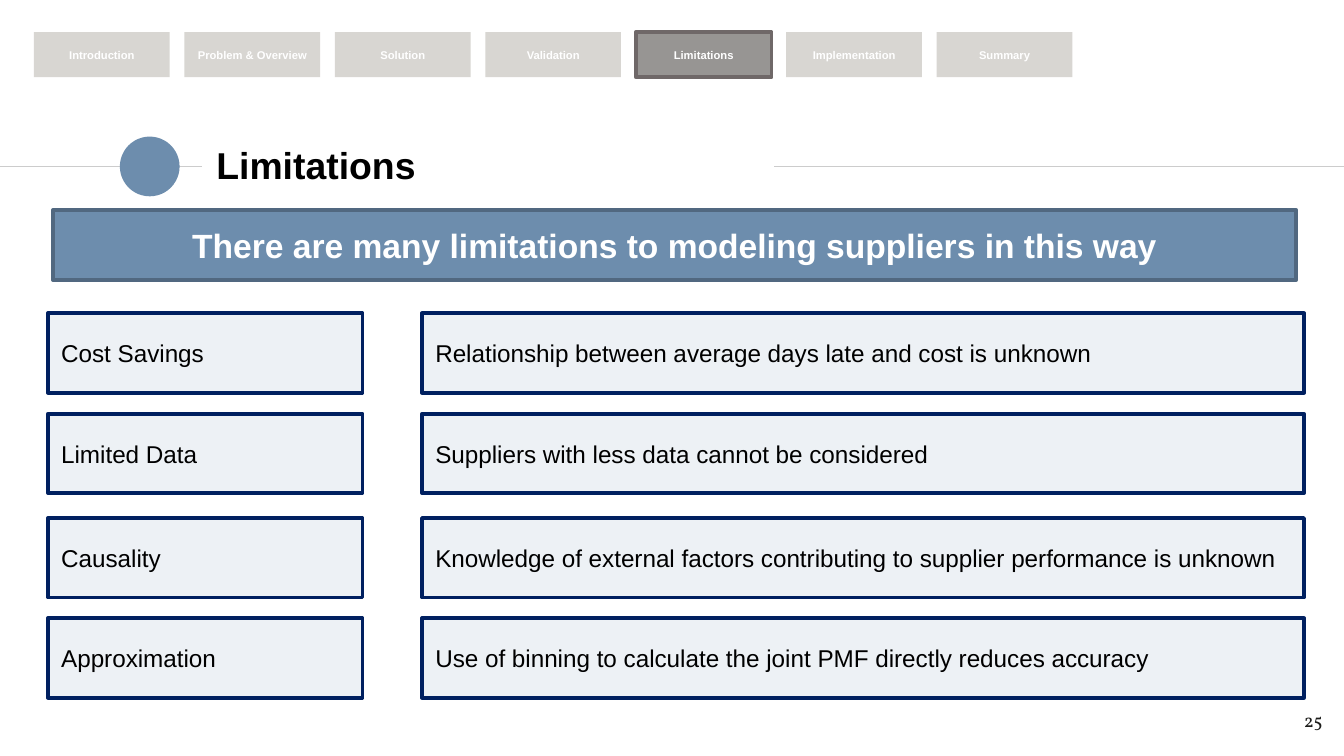
from lxml import etree
from pptx import Presentation
from pptx.dml.color import RGBColor
from pptx.enum.shapes import MSO_CONNECTOR, MSO_SHAPE
from pptx.enum.text import MSO_ANCHOR, PP_ALIGN
from pptx.oxml.ns import qn
from pptx.util import Pt

BLACK = RGBColor(0x00, 0x00, 0x00)
WHITE = RGBColor(0xFF, 0xFF, 0xFF)
INK = RGBColor(0x1D, 0x1D, 0x1B)
RULE = RGBColor(0xCC, 0xCC, 0xCC)
BLUE = RGBColor(0x6D, 0x8D, 0xAD)
BLUE_EDGE = RGBColor(0x51, 0x68, 0x80)
PALE = RGBColor(0xA7, 0xBB, 0xCE)
NAVY = RGBColor(0x00, 0x20, 0x60)
TAB = RGBColor(0xD8, 0xD6, 0xD2)
TAB_ON = RGBColor(0x97, 0x95, 0x93)
TAB_EDGE = RGBColor(0x6F, 0x68, 0x68)


def add_block(kind, x, y, w, h, fill, line=None):
    sp = s.shapes.add_shape(kind, Pt(x), Pt(y), Pt(w), Pt(h))
    sp.shadow.inherit = False
    sp.fill.solid()
    sp.fill.fore_color.rgb = fill
    if line is None:
        sp.line.fill.background()
    else:
        sp.line.color.rgb = line
        sp.line.width = Pt(2)
    return sp


def write(sp, text, size, color, align, bold=False, font="Arial"):
    tf = sp.text_frame
    tf.word_wrap = True
    tf.vertical_anchor = MSO_ANCHOR.MIDDLE
    p = tf.paragraphs[0]
    p.text = text
    p.alignment = align
    p.font.name = font
    p.font.size = Pt(size)
    p.font.bold = bold
    p.font.color.rgb = color
    return tf


prs = Presentation()
prs.slide_width, prs.slide_height = Pt(720), Pt(405)
s = prs.slides.add_slide(prs.slide_layouts[5])

# Rules either side of the title, and the dot
for x1, x2 in [(0, 108), (414.7, 720)]:
    ln = s.shapes.add_connector(MSO_CONNECTOR.STRAIGHT, Pt(x1), Pt(89.2), Pt(x2), Pt(89.2))
    ln.line.color.rgb = RULE
    ln.line.width = Pt(0.75)
    etree.SubElement(ln._element.spPr, qn("a:effectLst"))
add_block(MSO_SHAPE.OVAL, 64.2, 73.2, 32, 32, BLUE)

# Title
title = s.shapes.title
title.left, title.top, title.width, title.height = Pt(108.7), Pt(70.8), Pt(305.3), Pt(34.8)
tf = write(title, "Limitations", 20, BLACK, PP_ALIGN.LEFT, bold=True)
tf.margin_left = tf.margin_right = tf.margin_top = tf.margin_bottom = Pt(7.2)

# Slide number
number = s.shapes.add_textbox(Pt(672.5), Pt(373.7), Pt(43.2), Pt(31))
tf = write(number, "25", 10, INK, PP_ALIGN.RIGHT, font="Vollkorn")
tf.vertical_anchor = MSO_ANCHOR.TOP
tf.margin_top = tf.margin_bottom = Pt(7.2)

# Headline banner
banner = add_block(MSO_SHAPE.RECTANGLE, 28.5, 112.5, 666, 37.5, BLUE, BLUE_EDGE)
write(banner, "There are many limitations to modeling suppliers in this way",
      18, WHITE, PP_ALIGN.CENTER, bold=True)

# Limitations and their explanations
rows = [
    (167.8, "Cost Savings", "Relationship between average days late and cost is unknown"),
    (221.6, "Limited Data", "Suppliers with less data cannot be considered"),
    (277.5, "Causality",
     "Knowledge of external factors contributing to supplier performance is unknown"),
    (331.2, "Approximation",
     "Use of binning to calculate the joint PMF directly reduces accuracy"),
]
for y, name, detail in rows:
    for x, w, text in [(226.1, 472.5, detail), (25.7, 168.5, name)]:
        sp = add_block(MSO_SHAPE.RECTANGLE, x, y, w, 42.6, PALE, NAVY)
        color = sp._element.spPr.find(qn("a:solidFill"))[0]
        etree.SubElement(color, qn("a:alpha"), val="20000")
        tf = write(sp, text, 13, BLACK, PP_ALIGN.LEFT)
        tf.paragraphs[0].space_after = Pt(6)

# Section navigation
sections = ["Introduction", "Problem & Overview", "Solution", "Validation",
            "Limitations", "Implementation", "Summary"]
for i, name in enumerate(sections):
    fill, line = (TAB_ON, TAB_EDGE) if name == "Limitations" else (TAB, None)
    sp = add_block(MSO_SHAPE.RECTANGLE, 18.2 + 80.6 * i, 17.2, 72.7, 24.2, fill, line)
    tf = write(sp, name, 6, WHITE, PP_ALIGN.CENTER, bold=True)
    tf.margin_left = tf.margin_right = Pt(3.6)

prs.save("out.pptx")
